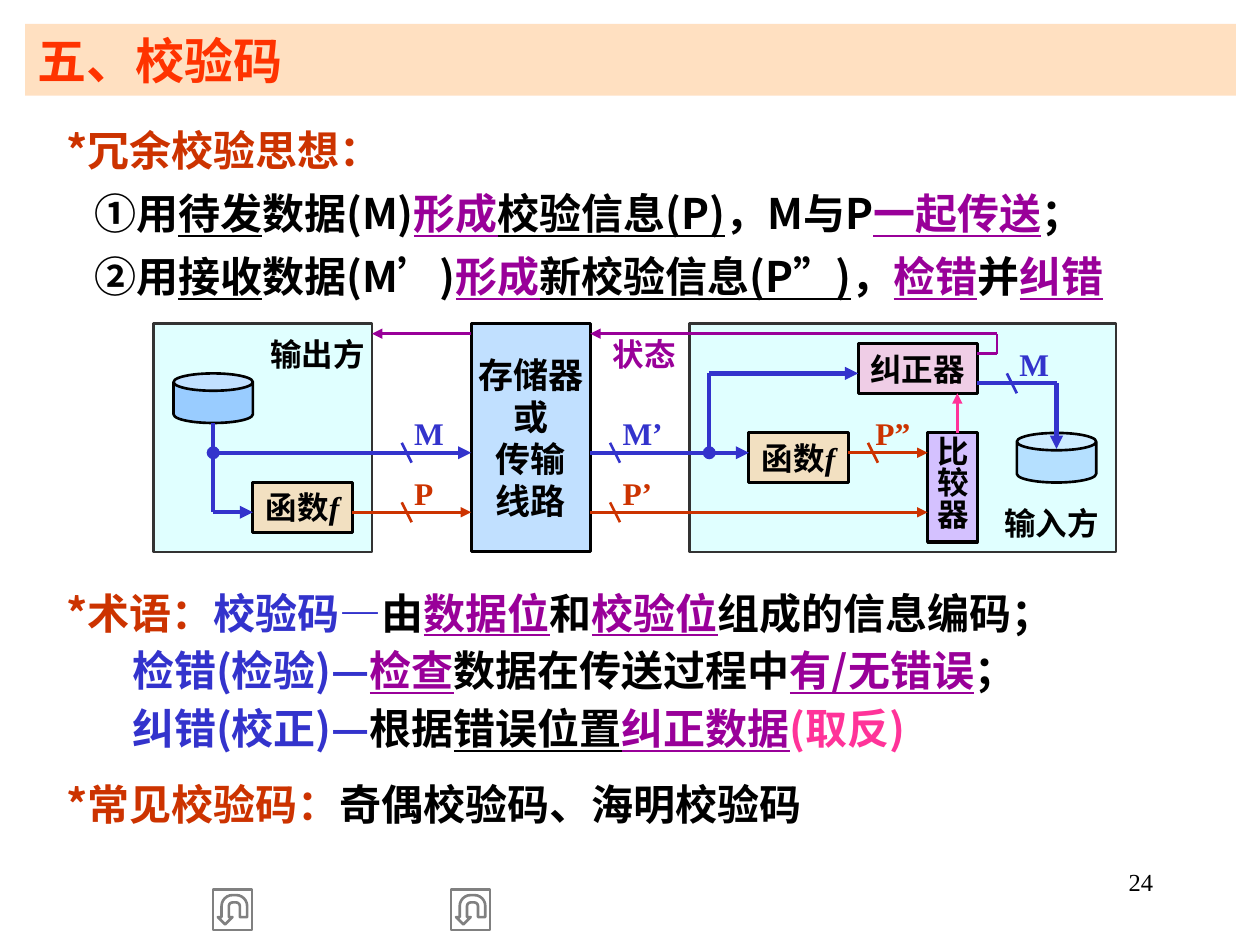
from pptx import Presentation
from pptx.dml.color import RGBColor
from pptx.enum.shapes import MSO_CONNECTOR as Link, MSO_SHAPE as Shape
from pptx.enum.text import MSO_ANCHOR as Anchor, MSO_AUTO_SIZE as Fit, PP_ALIGN as Align
from pptx.oxml.ns import qn
from pptx.oxml.xmlchemy import OxmlElement
from pptx.util import Cm, Inches, Pt

SANS, SERIF = "Noto Sans CJK SC", "Times New Roman"
INK, RED, BLUE, PURPLE, PINK = "000000", "CC3300", "3333CC", "990099", "FF3399"
STEP, LEFT, TOP = Cm(0.2), Inches(1.22), Inches(2.57)
BAR, MARGIN = 9.61, 0.2
THICK, THIN = 2.5, 1.5


def rgb(code):
    """Turn a hex string into a colour."""
    return RGBColor.from_string(code)


def put(target, formats):
    """Set every attribute named in a dict."""
    for name, value in formats.items():
        setattr(target, name, value)


def spot(col, row):
    """Give the place of a diagram grid point."""
    return LEFT + round(col * STEP), TOP + round(row * STEP)


def area(col, row, cols, rows):
    """Give the place and size of a block of grid cells."""
    return *spot(col, row), round(cols * STEP), round(rows * STEP)


def paint(shape, code, opacity=100):
    """Fill a shape, letting the ground show through."""
    shape.fill.solid()
    shape.fill.fore_color.rgb = rgb(code)
    if opacity < 100:
        alpha = OxmlElement("a:alpha")
        alpha.set("val", str(opacity * 1000))
        shape._element.spPr.find(qn("a:solidFill")).find(qn("a:srgbClr")).append(alpha)


def set_frame(box, margins=(0.02, 0.01), anchor=Anchor.TOP):
    """Set wrapping, insets and anchor, and return the text frame."""
    side, end = (Inches(margin) for margin in margins)
    put(box.text_frame, dict(word_wrap=True, auto_size=Fit.NONE, vertical_anchor=anchor,
                             margin_left=side, margin_right=side,
                             margin_top=end, margin_bottom=end))
    return box.text_frame


def add_span(para, text, color=INK, size=24, font=SANS, **formats):
    """Add one formatted run."""
    span = para.add_run()
    span.text = text
    put(span.font, dict(dict(size=Pt(size), name=font, bold=True), **formats))
    span.font.color.rgb = rgb(color)
    east = OxmlElement("a:ea")
    east.set("typeface", SANS)
    span.font._element.find(qn("a:latin")).addnext(east)


def write(frame, lines, align=Align.LEFT, **formats):
    """Write plain lines of one format."""
    for index, line in enumerate(lines):
        para = frame.add_paragraph() if index else frame.paragraphs[0]
        para.alignment = align
        add_span(para, line, **formats)


def add_body(page, top, height, lines):
    """Add a block of (indent, spacing, runs) lines; a leading underscore underlines a run."""
    box = page.shapes.add_textbox(*map(Inches, (MARGIN, top, BAR, height)))
    frame = set_frame(box, (0.1, 0.05))
    for index, (indent, spacing, runs) in enumerate(lines):
        para = frame.add_paragraph() if index else frame.paragraphs[0]
        para.line_spacing = spacing
        para._p.get_or_add_pPr().set("marL", str(Inches(indent)))
        for text, color, *font in runs:
            add_span(para, text.lstrip("_"), color, font=font[0] if font else SANS,
                     underline=text.startswith("_"))


def add_block(page, cells, fill, opacity=60, line=INK, width=1.75, kind=Shape.RECTANGLE):
    """Add an outlined diagram shape."""
    block = page.shapes.add_shape(kind, *area(*cells))
    block.shadow.inherit = False
    paint(block, fill, opacity)
    block.line.color.rgb = rgb(line)
    block.line.width = Pt(width)
    return block


def add_can(page, col, row, opacity):
    """Add a data store."""
    can = add_block(page, (col, row, 8, 5), "99CCFF", opacity, width=1.5, kind=Shape.CAN)
    can.adjustments[0] = 0.35


def add_unit(page, cells, fill, lines, opacity=60, size=18, suffix="", vertical=False):
    """Add a processing unit with its name."""
    unit = add_block(page, cells, fill, opacity)
    frame = set_frame(unit, (0.01, 0.02) if vertical else (0.02, 0.01), Anchor.MIDDLE)
    write(frame, lines, Align.CENTER, size=size)
    if suffix:
        add_span(frame.paragraphs[0], suffix, size=size, font=SERIF, italic=True)
    if vertical:
        frame._txBody.bodyPr.set("vert", "eaVert")


def add_label(page, cells, text, color, align=Align.LEFT):
    """Add a signal or side label."""
    box = page.shapes.add_textbox(*area(*cells))
    write(set_frame(box), [text], align, color=color, size=18, font=SERIF)


def add_wire(page, start, end, color, width, tail=None, head=None):
    """Draw a straight wire between two grid points."""
    wire = page.shapes.add_connector(Link.STRAIGHT, *spot(*start), *spot(*end))
    wire.line.color.rgb = rgb(color)
    wire.line.width = Pt(width)
    for tag, kind in (("a:headEnd", head), ("a:tailEnd", tail)):
        if kind:
            tip = OxmlElement(tag)
            tip.set("type", kind)
            wire.line._get_or_add_ln().append(tip)
    wire._element.spPr.append(OxmlElement("a:effectLst"))


def add_title(page):
    """Format the title bar."""
    title = page.shapes.title
    put(title, dict(zip(("left", "top", "width", "height"),
                        map(Inches, (MARGIN, 0.19, BAR, 0.57)))))
    paint(title, "FFCC99", 60)
    write(set_frame(title, (0.1, 0.05), Anchor.MIDDLE), ["五、校验码"], color="FF3300", size=28)


def add_diagram(page):
    """Draw the sender, the channel and the receiver."""
    add_unit(page, (32, 0, 12, 23), "99CCFF", ["存储器", "或", "传输", "线路"], size=20)
    for col, cols in ((0, 22), (54, 43)):
        add_block(page, (col, 0, cols, 23), "CCFFFF", line="333333", width=1.5)
    add_can(page, 2, 5, 100)
    add_can(page, 87, 11, 60)
    for col, row in ((10, 16), (60, 11)):
        add_unit(page, (col, row, 10, 5), "FFCC99", ["函数"], suffix="f")
    add_unit(page, (78, 11, 5, 11), "CC99FF", ["比较器"], vertical=True)
    add_unit(page, (71, 2, 12, 5), "FF99CC", ["纠正器"], opacity=49)

    for start, end, color, width, *tips in (
            ((6, 13), (32, 13), BLUE, THICK, "triangle", "oval"),
            ((6, 10), (6, 19), BLUE, THICK),
            ((6, 19), (10, 19), BLUE, THICK, "triangle"),
            ((20, 19), (32, 19), RED, THIN, "triangle"),
            ((44, 13), (60, 13), BLUE, THICK, "triangle"),
            ((44, 19), (78, 19), RED, THIN, "triangle"),
            ((70, 13), (78, 13), RED, THIN, "triangle"),
            ((56, 13), (56, 5), BLUE, THICK, None, "oval"),
            ((56, 5), (71, 5), BLUE, THICK, "triangle"),
            ((83, 6), (91, 6), BLUE, THICK),
            ((91, 6), (91, 12.6), BLUE, THICK, "triangle"),
            ((81, 11), (81, 7), PINK, THIN, "triangle"),
            ((83, 3), (85, 3), PURPLE, THIN),
            ((85, 3), (85, 1), PURPLE, THIN),
            ((85, 1), (44, 1), PURPLE, THIN, "triangle"),
            ((32, 1), (22, 1), PURPLE, THIN, "triangle")):
        add_wire(page, start, end, color, width, *tips)

    for col, row, color in ((25, 12, BLUE), (25, 18, RED), (46, 12, BLUE),
                            (46, 18, RED), (72, 12, RED), (86, 5, BLUE)):
        add_wire(page, (col, row), (col + 1, row + 2), color, THIN)

    for col, row, text, color in ((26, 9, "M", BLUE), (26, 15, "P", RED), (47, 9, "M’", BLUE),
                                  (47, 15, "P’", RED), (87, 2, "M", BLUE)):
        add_label(page, (col, row, 5, 4), text, color)
    add_label(page, (72, 9, 5, 4), "P”", RED, Align.CENTER)
    add_label(page, (46, 1, 8, 4), "状态", PURPLE)
    for col, row, text in ((11, 1, "输出方"), (85, 18, "输入方")):
        add_label(page, (col, row, 11, 4), text, INK, Align.CENTER)


def add_footer(page):
    """Add the return buttons and the page number."""
    for left in (1.69, 3.58):
        button = page.shapes.add_shape(Shape.ACTION_BUTTON_RETURN,
                                       *map(Inches, (left, 7.06, 0.31, 0.32)))
        button.shadow.inherit = False
        button.rotation = 180
        button.fill.background()
        button.line.color.rgb = rgb("808080")
        button.line.width = Pt(1.5)
    box = page.shapes.add_textbox(*map(Inches, (7.17, 6.83, 2.08, 0.5)))
    write(set_frame(box, (0.1, 0.05)), ["24"], Align.RIGHT, size=14, font=SERIF, bold=False)


def main():
    """Build the slide and save it."""
    deck = Presentation()
    deck.slide_width, deck.slide_height = Inches(10), Inches(7.5)
    page = deck.slides.add_slide(deck.slide_layouts[5])
    add_title(page)
    add_body(page, 0.84, 1.6, [
        (0.23, 1.25, [("*冗余校验思想：", RED)]),
        (0.45, 1.25, [("①用", INK), ("_待发", INK), ("数据(M)", INK), ("_形成", PURPLE),
                      ("_校验信息(P)", INK), ("，M与P", INK), ("_一起传送", PURPLE), ("；", INK)]),
        (0.45, 1.25, [("②用", INK), ("_接收", INK), ("数据(M", INK), ("’", INK, SERIF), (")", INK),
                      ("_形成", PURPLE), ("_新校验信息(P", INK), ("_”", INK, SERIF), ("_)", INK),
                      ("，", INK), ("_检错", PURPLE), ("并", INK), ("_纠错", PURPLE)])])
    add_diagram(page)
    add_body(page, 4.51, 1.52, [
        (0.23, 1.25, [("*术语：", RED), ("校验码—", BLUE), ("由", INK), ("_数据位", PURPLE),
                      ("和", INK), ("_校验位", PURPLE), ("组成的信息编码；", INK)]),
        (0.75, 1.15, [("检错(检验)—", BLUE), ("_检查", PURPLE), ("数据在传送过程中", INK),
                      ("_有/无错误", PURPLE), ("；", INK)]),
        (0.75, 1.15, [("纠错(校正)—", BLUE), ("根据", INK), ("_错误位置", INK),
                      ("_纠正数据", PURPLE), ("(取反)", PINK)])])
    add_body(page, 6.03, 0.6, [
        (0.23, 1.25, [("*常见校验码：", RED), ("奇偶校验码、海明校验码", INK)])])
    add_footer(page)
    deck.save("out.pptx")


if __name__ == "__main__":
    main()
